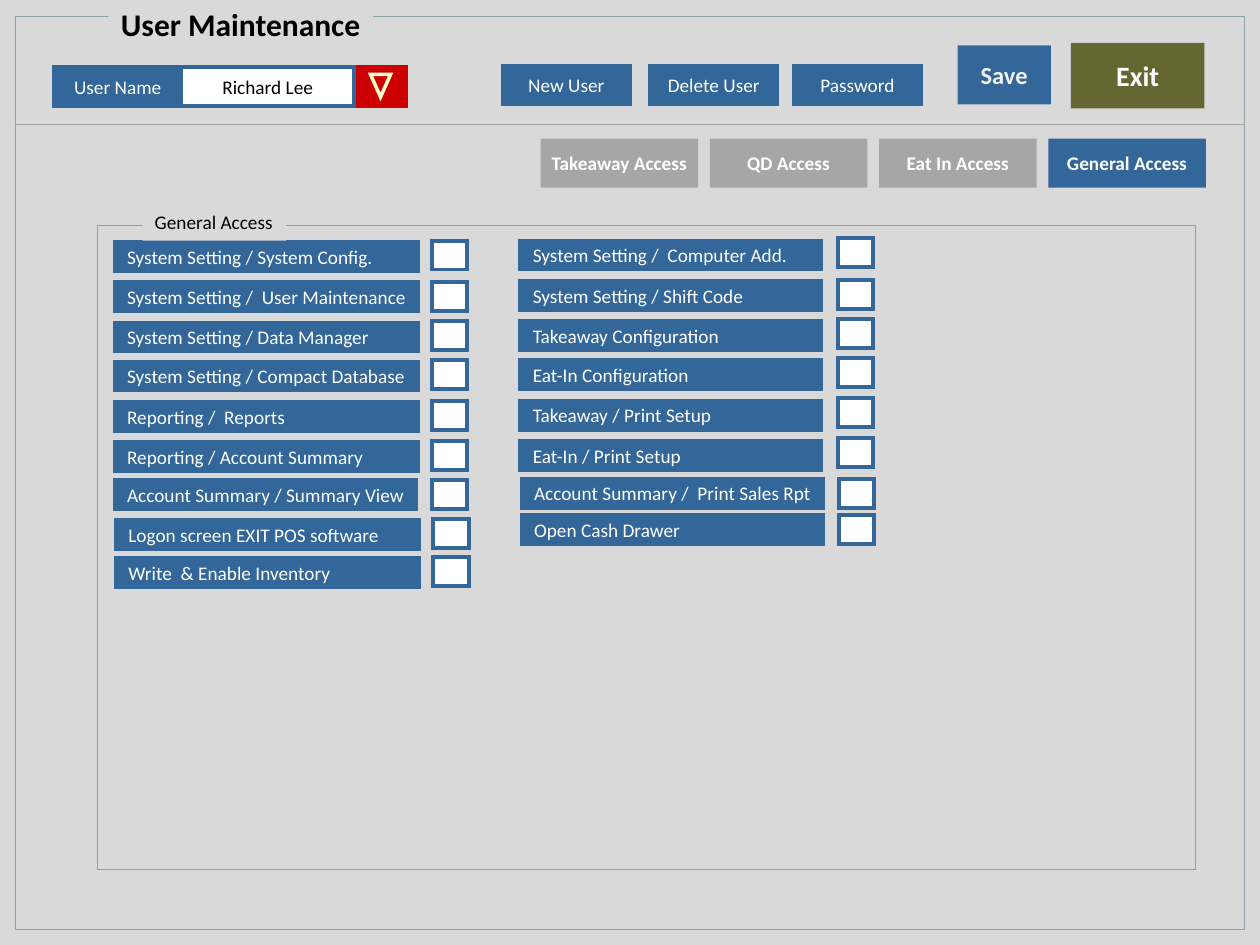
from dataclasses import dataclass
from typing import NamedTuple, Optional

from lxml.etree import SubElement
from pptx import Presentation
from pptx.dml.color import RGBColor
from pptx.enum.shapes import MSO_CONNECTOR as Connector, MSO_SHAPE as Preset
from pptx.enum.text import MSO_ANCHOR as Anchor, MSO_AUTO_SIZE as AutoSize, PP_ALIGN as Align
from pptx.oxml.ns import qn
from pptx.util import Inches, Pt


@dataclass(frozen=True)
class Theme:
    font: str = "Calibri"
    surface: str = "D9D9D9"
    blue: str = "336699"
    olive: str = "666633"
    red: str = "CC0000"
    cream: str = "FFFFCC"
    gray: str = "A6A6A6"
    frame: str = "89A4A7"
    white: str = "FFFFFF"
    pale: str = "F2F2F2"
    black: str = "000000"
    body_size: float = 11
    save_size: float = 14
    exit_size: float = 16
    title_size: float = 18
    frame_line: float = 0.5
    divider_line: float = 0.75
    arrow_line: float = 2
    box_line: float = 2.25


THEME = Theme()


class Box(NamedTuple):
    left: float
    top: float
    width: float
    height: float


class Label(NamedTuple):
    text: str
    color: str = THEME.white
    size: float = THEME.body_size
    bold: bool = False
    align: Align = Align.CENTER
    anchor: Anchor = Anchor.MIDDLE
    grow: bool = False
    right_margin: float = 0.1


class Button(NamedTuple):
    box: Box
    label: Label
    fill: str = THEME.blue
    line: Optional[str] = None


class Permission(NamedTuple):
    text: str
    top: float
    check_top: float
    nudge: float = 0
    trim: float = 0


class Column(NamedTuple):
    left: float
    width: float
    check_left: float
    permissions: list[Permission]


TITLE_BOX = Box(0.86, -0.01, 2.1, 0.4)
TITLE = Label("User Maintenance", THEME.black, THEME.title_size, True, Align.LEFT, Anchor.TOP,
              right_margin=0)
CAPTION = Label("General Access", THEME.black, align=Align.LEFT, anchor=Anchor.TOP, grow=True)

EXIT_BUTTON = Button(Box(8.5, 0.34, 1.06, 0.52),
                     Label("Exit", size=THEME.exit_size, bold=True), THEME.olive)
SAVE_BUTTON = Button(Box(7.6, 0.36, 0.74, 0.47),
                     Label("Save", THEME.pale, THEME.save_size, True))
USER_FIELDS = [
    Button(Box(1.44, 0.53, 1.37, 0.31), Label("Richard Lee", THEME.black), THEME.white, THEME.blue),
    Button(Box(0.43, 0.53, 1.01, 0.31), Label("User Name"), line=THEME.blue),
]
USER_ACTIONS = [
    Button(Box(left, 0.52, 1.01, 0.31), Label(text), line=THEME.blue)
    for left, text in [(3.99, "New User"), (5.16, "Delete User"), (6.3, "Password")]
]
TAB_NAMES = ["Takeaway Access", "QD Access", "Eat In Access", "General Access"]
ACTIVE_TAB = "General Access"
TAB_STEP = (8.32 - 4.29) / (len(TAB_NAMES) - 1)
TABS = [
    Button(Box(4.29 + TAB_STEP * index, 1.1, 1.25, 0.39), Label(name, bold=True),
           THEME.blue if name == ACTIVE_TAB else THEME.gray)
    for index, name in enumerate(TAB_NAMES)
]
ROW_HEIGHT = 0.23
CHECK_WIDTH = 0.28
COLUMNS = [
    Column(0.91, 2.41, 3.43, [
        Permission("System Setting / System Config.", 1.92, 1.91),
        Permission("System Setting /  User Maintenance", 2.24, 2.24),
        Permission("System Setting / Data Manager", 2.56, 2.55),
        Permission("System Setting / Compact Database", 2.87, 2.86),
        Permission("Reporting /  Reports", 3.19, 3.18),
        Permission("Reporting / Account Summary", 3.51, 3.5),
        Permission("Account Summary / Summary View", 3.81, 3.81, trim=0.02),
        Permission("Logon screen EXIT POS software", 4.13, 4.12, nudge=0.01),
        Permission("Write  & Enable Inventory", 4.43, 4.42, nudge=0.01),
    ]),
    Column(4.13, 2.39, 6.65, [
        Permission("System Setting /  Computer Add.", 1.91, 1.89),
        Permission("System Setting / Shift Code", 2.23, 2.22),
        Permission("Takeaway Configuration", 2.55, 2.53),
        Permission("Eat-In Configuration", 2.86, 2.84),
        Permission("Takeaway / Print Setup", 3.18, 3.16),
        Permission("Eat-In / Print Setup", 3.5, 3.48),
        Permission("Account Summary /  Print Sales Rpt", 3.8, 3.8, nudge=0.01),
        Permission("Open Cash Drawer", 4.09, 4.09, nudge=0.01),
    ]),
]


def rgb(color: str) -> RGBColor:
    return RGBColor.from_string(color)


def write_label(shape, label: Label) -> None:
    frame = shape.text_frame
    frame.margin_left = Inches(0.1)
    frame.margin_right = Inches(label.right_margin)
    frame.margin_top = frame.margin_bottom = Inches(0.05)
    frame.word_wrap = False
    frame.auto_size = AutoSize.SHAPE_TO_FIT_TEXT if label.grow else AutoSize.NONE
    frame.vertical_anchor = label.anchor
    paragraph = frame.paragraphs[0]
    paragraph.alignment = label.align
    run = paragraph.add_run()
    run.text = label.text
    run.font.name = THEME.font
    run.font.size = Pt(label.size)
    run.font.bold = label.bold
    run.font.color.rgb = rgb(label.color)


def add_box(shapes, box: Box, fill: Optional[str] = None, line: Optional[str] = None,
            weight: float = THEME.box_line, label: Optional[Label] = None,
            preset: Preset = Preset.RECTANGLE):
    shape = shapes.add_shape(preset, *map(Inches, box))
    shape.shadow.inherit = False
    if fill:
        shape.fill.solid()
        shape.fill.fore_color.rgb = rgb(fill)
    else:
        shape.fill.background()
    if line:
        shape.line.color.rgb = rgb(line)
        shape.line.width = Pt(weight)
        SubElement(shape._element.spPr.find(qn("a:ln")), qn("a:miter"), lim="800000")
    else:
        shape.line.fill.background()
    if label:
        write_label(shape, label)
    return shape


def add_button(shapes, button: Button) -> None:
    add_box(shapes, button.box, button.fill, button.line, label=button.label)


def place_title(title, frame) -> None:
    frame._element.addnext(title._element)
    title.left, title.top, title.width, title.height = map(Inches, TITLE_BOX)
    title.fill.solid()
    title.fill.fore_color.rgb = rgb(THEME.surface)
    write_label(title, TITLE)


def add_divider(shapes) -> None:
    divider = shapes.add_connector(Connector.STRAIGHT, *map(Inches, (0.12, 0.99, 9.88, 0.99)))
    divider.line.color.rgb = rgb(THEME.gray)
    divider.line.width = Pt(THEME.divider_line)
    SubElement(divider._element.spPr, qn("a:effectLst"))


def add_dropdown(shapes) -> None:
    group = shapes.add_group_shape()
    add_box(group.shapes, Box(2.84, 0.53, 0.38, 0.31), THEME.red, THEME.red)
    arrow = add_box(group.shapes, Box(2.94, 0.59, 0.16, 0.18), THEME.red, THEME.cream,
                    THEME.arrow_line, preset=Preset.ISOSCELES_TRIANGLE)
    arrow.rotation = 180


def add_column(shapes, column: Column) -> None:
    for permission in column.permissions:
        name_box = Box(column.left + permission.nudge, permission.top,
                       column.width - permission.trim, ROW_HEIGHT)
        check_box = Box(column.check_left + permission.nudge, permission.check_top,
                        CHECK_WIDTH, ROW_HEIGHT)
        add_box(shapes, name_box, THEME.blue, THEME.blue,
                label=Label(permission.text, align=Align.LEFT))
        add_box(shapes, check_box, THEME.white, THEME.blue)


def main() -> None:
    presentation = Presentation()
    presentation.slide_width, presentation.slide_height = Inches(10), Inches(7.5)
    slide = presentation.slides.add_slide(presentation.slide_layouts[5])
    shapes = slide.shapes
    title = shapes.title
    add_box(shapes, Box(0, -0.01, 10, 7.51), THEME.surface)
    add_button(shapes, EXIT_BUTTON)
    window = add_box(shapes, Box(0.12, 0.13, 9.76, 7.25), None, THEME.frame, THEME.frame_line)
    place_title(title, window)
    add_divider(shapes)
    for field in USER_FIELDS:
        add_button(shapes, field)
    add_dropdown(shapes)
    for column in COLUMNS:
        add_column(shapes, column)
    add_box(shapes, Box(0.77, 1.79, 8.72, 5.11), None, THEME.frame, THEME.frame_line)
    add_box(shapes, Box(1.13, 1.62, 1.14, 0.29), THEME.surface, label=CAPTION)
    for button in [*USER_ACTIONS, SAVE_BUTTON, *TABS]:
        add_button(shapes, button)
    presentation.save("out.pptx")


if __name__ == "__main__":
    main()
